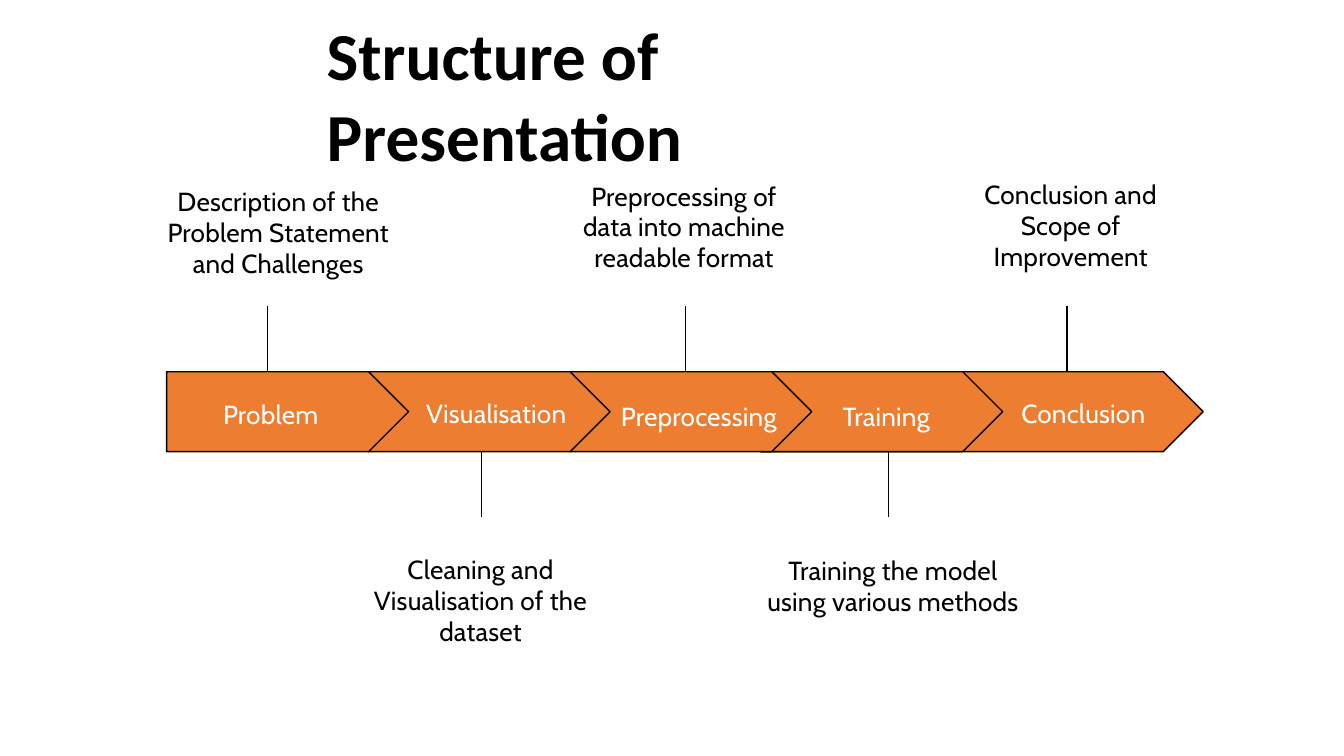
import pptx
import pptx.util
import pptx.dml.color
import pptx.enum.shapes
import pptx.enum.text
import lxml.etree
from dataclasses import dataclass

Pt = pptx.util.Pt
RGB = pptx.dml.color.RGBColor
ALIGN = pptx.enum.text.PP_ALIGN


@dataclass(frozen=True)
class Theme:
    arrow = RGB(0xED, 0x7D, 0x31)
    ink = RGB(0, 0, 0)
    label = RGB(255, 255, 255)
    heading_font = "Calibri"
    body_font = "Cabin"
    heading_size = 36
    body_size = 14
    line_width = 0.75


theme = Theme()


def write(box, text, *, font=theme.body_font, size=theme.body_size, color=theme.ink,
          bold=False, align=ALIGN.LEFT, leading=None, spacing=0, insets=(0, 0, 0, 0)):
    frame = box.text_frame
    frame.word_wrap = True
    frame.auto_size = pptx.enum.text.MSO_AUTO_SIZE.NONE
    frame.vertical_anchor = pptx.enum.text.MSO_ANCHOR.TOP
    (frame.margin_left, frame.margin_top,
     frame.margin_right, frame.margin_bottom) = map(Pt, insets)
    frame.text = text
    paragraph = frame.paragraphs[0]
    paragraph.alignment = align
    if leading:
        paragraph.line_spacing = Pt(leading)
    for run in paragraph.runs:
        run.font.name = font
        run.font.size = Pt(size)
        run.font.bold = bold
        run.font.color.rgb = color
        if spacing:
            run.font._element.set("spc", str(round(spacing * 100)))


prs = pptx.Presentation()
prs.slide_width, prs.slide_height = Pt(720), Pt(405)
slide = prs.slides.add_slide(prs.slide_layouts[5])
shapes = slide.shapes

# Heading
heading = shapes.title
heading.left, heading.top, heading.width, heading.height = map(Pt, (167.8, 3.6, 383.8, 72.7))
write(heading, "Structure of Presentation", font=theme.heading_font, size=theme.heading_size,
      bold=True, insets=(7.2, 3.6, 7.2, 3.6))

# Stages: name, arrow left and width, label left, top and width, callout x,
# caption left, top and width, caption text
stages = [
    ("Problem", 89.3, 129.6, 118.8, 211.7, 56, 143.3,
     88.6, 95.8, 121, "Description of the\vProblem Statement\vand Challenges"),
    ("Visualisation", 197.3, 129.6, 227.5, 211.2, 82, 257.8,
     198, 293, 119, "Cleaning and\vVisualisation of the\vdataset"),
    ("Preprocessing", 305.3, 129.6, 331.9, 212.6, 91, 367.2,
     311, 92.9, 111, "Preprocessing of\vdata into machine\vreadable format"),
    ("Training", 407.6, 129.6, 450.7, 212.6, 53, 475.9,
     408.4, 293.4, 140, "Training the model\vusing various methods"),
    ("Conclusion", 407.6, 237, 546.5, 211.2, 72, 571.7,
     525.6, 92.2, 96, "Conclusion and\vScope of\vImprovement"),
]
band_top, band_height, callout_length = 199.2, 42.8, 35.2

# Arrow band, last stage at the back so each tip overlaps the next stage
for name, left, width, *_ in reversed(stages):
    arrow = shapes.add_shape(pptx.enum.shapes.MSO_SHAPE.PENTAGON,
                             Pt(left), Pt(band_top), Pt(width), Pt(band_height))
    arrow.shadow.inherit = False
    arrow.fill.solid()
    arrow.fill.fore_color.rgb = theme.arrow
    arrow.line.color.rgb = theme.ink
    arrow.line.width = Pt(theme.line_width)

# Labels, callout lines and captions, alternating above and below the band
for index, (name, _, _, label_left, label_top, label_width, callout_x,
            caption_left, caption_top, caption_width, caption) in enumerate(stages):
    label = shapes.add_textbox(Pt(label_left), Pt(label_top), Pt(label_width), Pt(18.7))
    write(label, name, color=theme.label, spacing=0.1, insets=(0.7, 1.9, 0, 0))

    above = index % 2 == 0
    start = band_top if above else band_top + band_height
    end = start - callout_length if above else start + callout_length
    callout = shapes.add_connector(pptx.enum.shapes.MSO_CONNECTOR.STRAIGHT,
                                   Pt(callout_x), Pt(start), Pt(callout_x), Pt(end))
    callout.line.color.rgb = theme.ink
    callout.line.width = Pt(theme.line_width)
    lxml.etree.SubElement(callout._element.spPr, pptx.oxml.ns.qn("a:effectLst"))

    lines = caption.count("\v") + 1
    note = shapes.add_textbox(Pt(caption_left), Pt(caption_top), Pt(caption_width),
                              Pt(16.5 * lines + 2.3))
    write(note, caption, align=ALIGN.CENTER, leading=16.5, spacing=0.1, insets=(0, 3.8, 0, 0))

prs.save("out.pptx")
